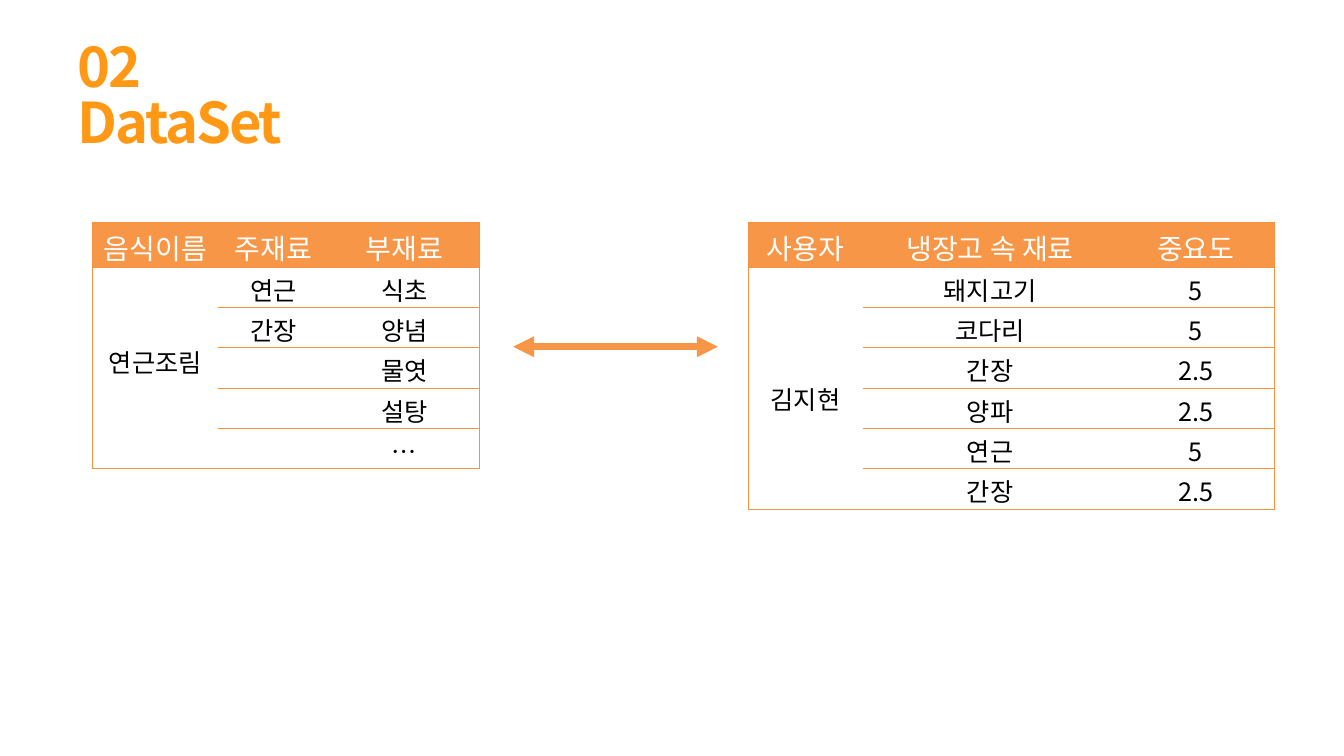
from dataclasses import dataclass

from lxml import etree
from pptx import Presentation
from pptx.dml.color import RGBColor
from pptx.enum.shapes import MSO_CONNECTOR
from pptx.enum.text import MSO_ANCHOR, PP_ALIGN
from pptx.oxml.ns import qn
from pptx.util import Inches, Pt

STRAIGHT = MSO_CONNECTOR.STRAIGHT
CENTER = PP_ALIGN.CENTER
TOP = MSO_ANCHOR.TOP


@dataclass(frozen=True)
class Theme:
    font: str = "Noto Sans CJK KR"
    title: str = "FF9915"
    accent: str = "F79646"
    border: str = "F69240"
    white: str = "FFFFFF"
    black: str = "000000"
    title_size: float = 40
    header_size: float = 20
    body_size: float = 18
    arrow_width: float = 5
    border_width: float = 0.75


THEME = Theme()
TABLE_TOP = 2.21
HEADER_HEIGHT = 0.44
ROW_HEIGHT = 0.4
CELL_TOP = 0.04
TEXT_LINE = 0.36

RECIPE_ROWS = [
    ("음식이름", "주재료", "부재료"),
    ("연근조림", "연근", "식초"),
    ("", "간장", "양념"),
    ("", "", "물엿"),
    ("", "", "설탕"),
    ("", "", "…"),
]
FRIDGE_ROWS = [
    ("사용자", "냉장고 속 재료", "중요도"),
    ("김지현", "돼지고기", "5"),
    ("", "코다리", "5"),
    ("", "간장", "2.5"),
    ("", "양파", "2.5"),
    ("", "연근", "5"),
    ("", "간장", "2.5"),
]


def style_font(paragraph, size, color, bold=False):
    font = paragraph.font
    font.name = THEME.font
    font.size = Pt(size)
    font.bold = bold
    font.color.rgb = RGBColor.from_string(color)
    for run in paragraph.runs:
        east_asian = etree.SubElement(run._r.get_or_add_rPr(), qn("a:ea"))
        east_asian.set("typeface", THEME.font)


def add_title(slide, text):
    title = slide.shapes.add_textbox(Inches(0.67), Inches(0.38), Inches(2.9), Inches(0.77))
    title.text_frame.word_wrap = True
    paragraph = title.text_frame.paragraphs[0]
    paragraph.text = text
    paragraph.line_spacing = 0.83
    style_font(paragraph, THEME.title_size, THEME.title, bold=True)
    paragraph.runs[0]._r.get_or_add_rPr().set("spc", "-150")


def set_borders(cell, visible):
    properties = cell._tc.get_or_add_tcPr()
    for position, side in enumerate(("L", "R", "T", "B")):
        line = etree.Element(qn(f"a:ln{side}"), w=str(Pt(THEME.border_width)))
        if side in visible:
            fill = etree.SubElement(line, qn("a:solidFill"))
            etree.SubElement(fill, qn("a:srgbClr"), val=THEME.border)
        else:
            etree.SubElement(line, qn("a:noFill"))
        properties.insert(position, line)


def fill_cell(cell, text, is_header, top_margin):
    cell.margin_top = Inches(top_margin)
    cell.margin_bottom = 0
    cell.vertical_anchor = TOP
    cell.fill.solid()
    cell.fill.fore_color.rgb = RGBColor.from_string(THEME.accent if is_header else THEME.white)
    paragraph = cell.text_frame.paragraphs[0]
    paragraph.text = text
    paragraph.alignment = CENTER
    if is_header:
        style_font(paragraph, THEME.header_size, THEME.white)
    else:
        style_font(paragraph, THEME.body_size, THEME.black)


def add_dataset_table(slide, left, widths, rows, lines_above_owner):
    height = HEADER_HEIGHT + ROW_HEIGHT * (len(rows) - 1)
    table = slide.shapes.add_table(
        len(rows), len(widths), Inches(left), Inches(TABLE_TOP),
        Inches(sum(widths)), Inches(height),
    ).table
    for column, width in zip(table.columns, widths):
        column.width = Inches(width)
    for index, row in enumerate(table.rows):
        row.height = Inches(ROW_HEIGHT if index else HEADER_HEIGHT)
    table.cell(1, 0).merge(table.cell(len(rows) - 1, 0))
    owner_margin = CELL_TOP + TEXT_LINE * lines_above_owner
    for r, values in enumerate(rows):
        for c, text in enumerate(values):
            cell = table.cell(r, c)
            is_owner = r == 1 and c == 0
            fill_cell(cell, text, r == 0, owner_margin if is_owner else CELL_TOP)
            visible = "TB" if c or r == 0 else ""
            visible += "L" if c == 0 else ""
            visible += "R" if c == len(widths) - 1 else ""
            visible += "TB" if is_owner else ""
            visible += "B" if r == len(rows) - 1 else ""
            set_borders(cell, visible)


def add_double_arrow(slide, start, end, y):
    arrow = slide.shapes.add_connector(STRAIGHT, Inches(start), Inches(y), Inches(end), Inches(y))
    arrow.line.color.rgb = RGBColor.from_string(THEME.accent)
    arrow.line.width = Pt(THEME.arrow_width)
    line = arrow.line._get_or_add_ln()
    for end_tag in ("a:headEnd", "a:tailEnd"):
        etree.SubElement(line, qn(end_tag), type="triangle")
    etree.SubElement(arrow._element.spPr, qn("a:effectLst"))


def main():
    presentation = Presentation()
    presentation.slide_width = Inches(13.33)
    presentation.slide_height = Inches(7.5)
    slide = presentation.slides.add_slide(presentation.slide_layouts[6])
    add_title(slide, "02 DataSet")
    add_dataset_table(slide, 7.42, (1.14, 2.52, 1.56), FRIDGE_ROWS, 3)
    add_double_arrow(slide, 5.09, 7.12, 3.44)
    add_dataset_table(slide, 0.92, (1.24, 1.1, 1.5), RECIPE_ROWS, 2)
    presentation.save("out.pptx")


if __name__ == "__main__":
    main()
